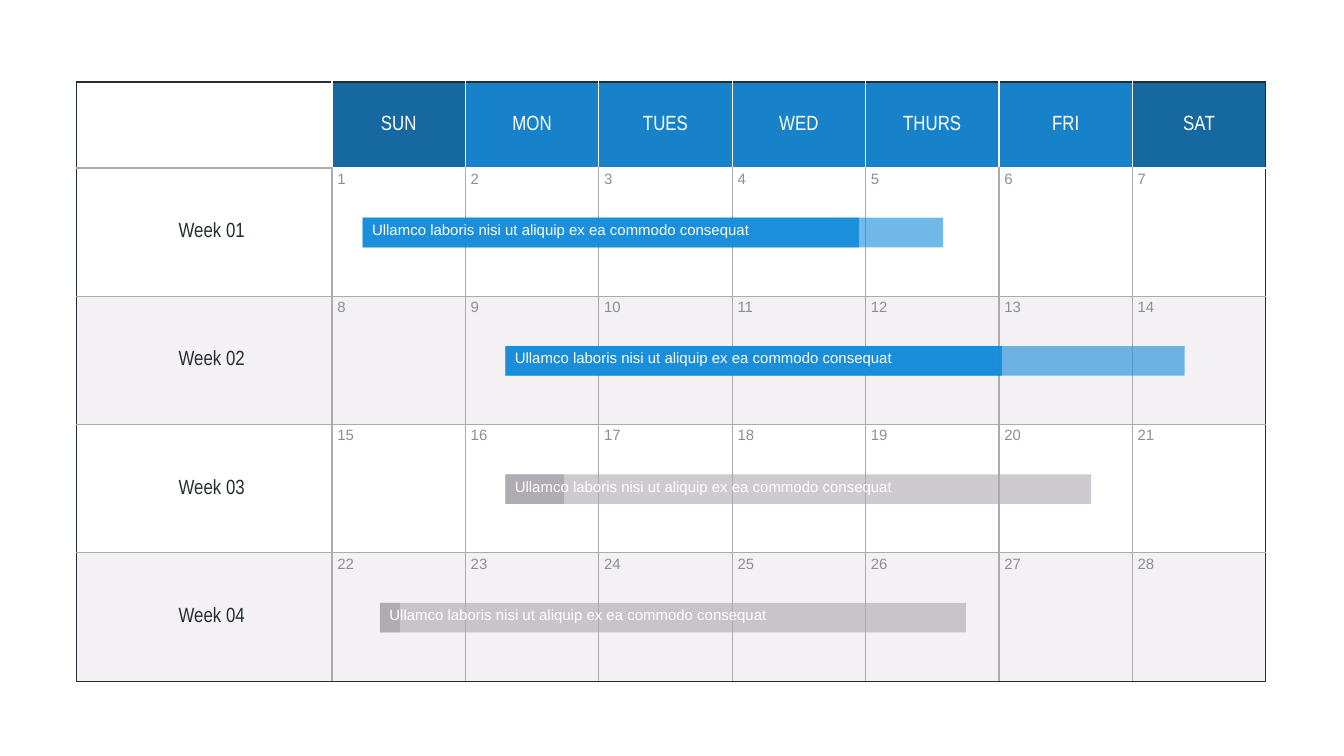
from lxml import etree
from pptx import Presentation
from pptx import util as u
from pptx.dml.color import RGBColor
from pptx.enum import shapes, text
from pptx.oxml.ns import qn

DAYS = ["SUN", "MON", "TUES", "WED", "THURS", "FRI", "SAT"]
WEEKS = ["Week 01", "Week 02", "Week 03", "Week 04"]
TASK = "Ullamco laboris nisi ut aliquip ex ea commodo consequat"
# One bar per week, in days: start, length, part done, colour
BARS = [
    (0.23, 4.35, 3.72, "blue"),
    (1.30, 5.09, 3.72, "blue"),
    (1.30, 4.39, 0.44, "gray"),
    (0.36, 4.39, 0.15, "gray"),
]
HUES = {"blue": "138BDB", "gray": "ACA9AF", "head": "1782CA", "end": "1668A1",
        "band": "E8E5E9", "dark": "252D30", "date": "8C8E91", "white": "FFFFFF"}

WIDE = 10
HIGH = WIDE * 9 / 16
LEFT, TOP, SPAN, DEPTH = 0.57, 0.61, 8.85, 4.46
SIDE, HEAD = 1.9, 0.64
DAY = (SPAN - SIDE) / len(DAYS)
WEEK = (DEPTH - HEAD) / len(WEEKS)
ROWS, COLS = len(WEEKS) + 1, len(DAYS) + 1


def paint(fill, hue):
    fill.solid()
    fill.fore_color.rgb = RGBColor.from_string(HUES[hue])


def fade(node, alpha):
    """Give the solid fill under node an opacity in percent."""
    color = node.find(qn("a:solidFill")).find(qn("a:srgbClr"))
    etree.SubElement(color, qn("a:alpha"), val=str(alpha * 1000))


def write(frame, words, size=8, font="Arial", hue="white", align="LEFT"):
    para = frame.paragraphs[0]
    para.alignment = getattr(text.PP_ALIGN, align)
    run = para.add_run()
    run.text = words
    run.font.size = u.Pt(size)
    run.font.name = font
    run.font.color.rgb = RGBColor.from_string(HUES[hue])


def inset(item, left=0.04):
    item.margin_left, item.margin_right = u.Inches(left), u.Inches(0.04)
    item.margin_top = item.margin_bottom = u.Inches(0.02)


def upright(row, edge):
    """Colour of the vertical rule at a column edge."""
    if edge == COLS or (edge == 0):
        return "dark"
    return "gray" if row else "white"


def level(edge, col):
    """Colour of the horizontal rule at a row edge."""
    if edge in (0, ROWS):
        return "dark"
    return "white" if edge == 1 and col else "gray"


def border(cell, row, col):
    sides = {"L": upright(row, col), "R": upright(row, col + 1),
             "T": level(row, col), "B": level(row + 1, col)}
    props = cell._tc.get_or_add_tcPr()
    for side, hue in sides.items():
        line = etree.SubElement(props, qn(f"a:ln{side}"), w=str(u.Pt(0.75)))
        fill = etree.SubElement(line, qn("a:solidFill"))
        etree.SubElement(fill, qn("a:srgbClr"), val=HUES[hue])


def dress(cell, row, col):
    """Fill one cell with its border, ground and words."""
    border(cell, row, col)
    inset(cell, 0.15 if row and not col else 0.04)
    if row == 0 and col:
        paint(cell.fill, "end" if col in (1, COLS - 1) else "head")
    elif row and row % 2 == 0:
        paint(cell.fill, "band")
        fade(cell._tc.tcPr, 50)
    else:
        cell.fill.background()

    if row and col:
        date = (row - 1) * len(DAYS) + col
        write(cell.text_frame, str(date), hue="date")
    elif row or col:
        cell.vertical_anchor = text.MSO_ANCHOR.MIDDLE
        write(cell.text_frame, WEEKS[row - 1] if row else DAYS[col - 1], size=11,
              font="Arial Narrow", hue="dark" if row else "white", align="CENTER")


def add_grid(slide):
    frame = slide.shapes.add_table(ROWS, COLS, *map(u.Inches, (LEFT, TOP, SPAN, DEPTH)))
    table = frame.table
    table.first_row = table.horz_banding = False
    for col in range(COLS):
        table.columns[col].width = u.Inches(DAY if col else SIDE)
    for row in range(ROWS):
        table.rows[row].height = u.Inches(WEEK if row else HEAD)
        for col in range(COLS):
            dress(table.cell(row, col), row, col)


def add_bar(slide, week, start, length, done, hue):
    group = slide.shapes.add_group_shape()
    left = LEFT + SIDE + start * DAY
    top = TOP + HEAD + week * WEEK + 0.37
    for days, alpha in ((length, 60), (done, 90)):
        box = map(u.Inches, (left, top, days * DAY, 0.22))
        bar = group.shapes.add_shape(shapes.MSO_SHAPE.RECTANGLE, *box)
        bar.shadow.inherit = False
        bar.line.fill.background()
        paint(bar.fill, hue)
        fade(bar._element.spPr, alpha)
    label = group.shapes.add_textbox(*map(u.Inches, (left + 0.03, top, 3.11, 0.18)))
    label.text_frame.word_wrap = True
    inset(label.text_frame)
    write(label.text_frame, TASK)


def main():
    deck = Presentation()
    deck.slide_width, deck.slide_height = u.Inches(WIDE), u.Inches(HIGH)
    slide = deck.slides.add_slide(deck.slide_layouts[6])
    add_grid(slide)
    for week, bar in enumerate(BARS):
        add_bar(slide, week, *bar)
    deck.save("out.pptx")


if __name__ == "__main__":
    main()
